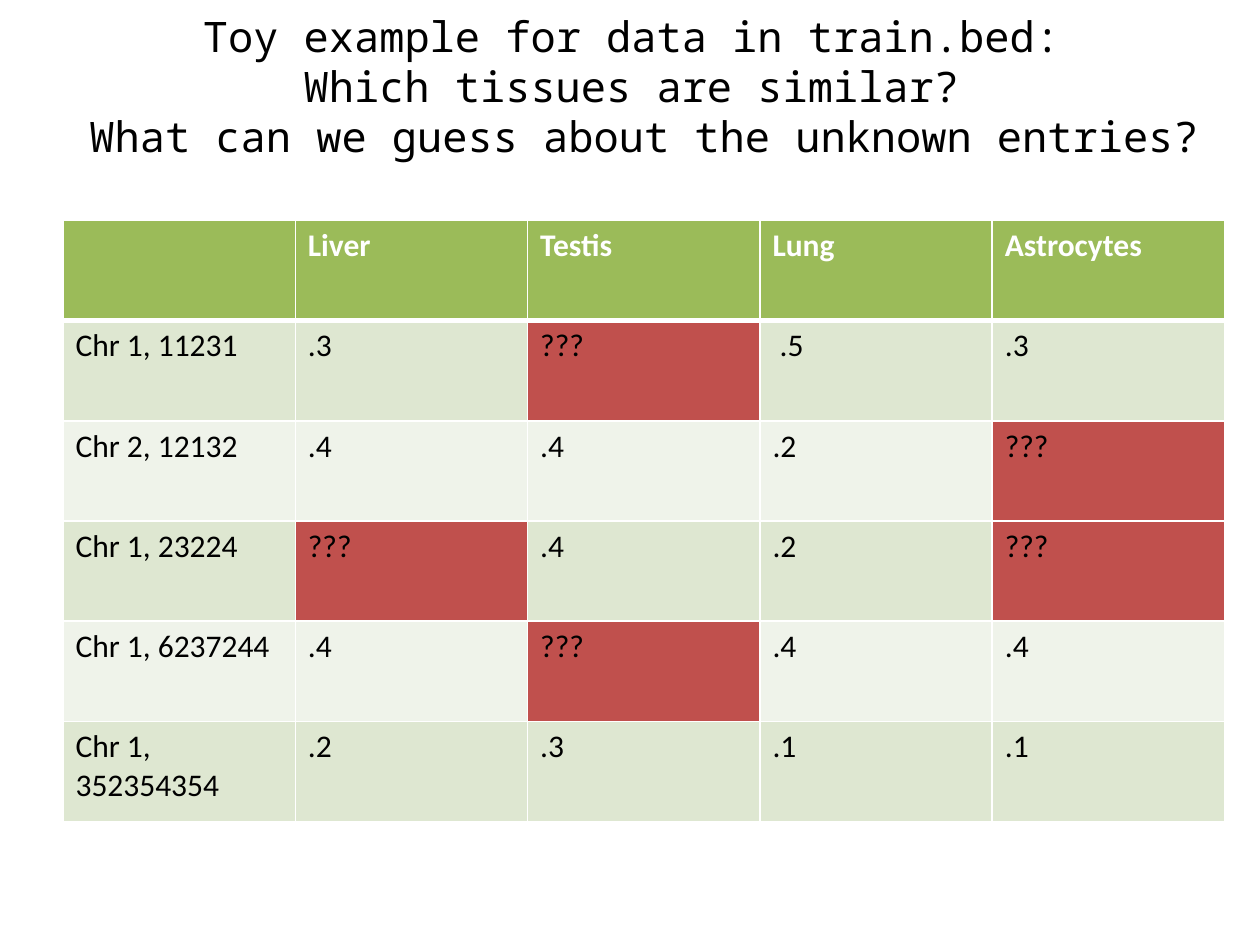
from lxml import etree
from pptx import Presentation
from pptx.dml.color import RGBColor
from pptx.enum import text
from pptx.oxml.ns import qn
from pptx.util import Inches, Pt

WHITE, BLACK = "FFFFFF", "000000"
HEADER, UNKNOWN = "9BBB59", "C0504D"
BANDS = ["DEE7D1", "EFF3EA"]

TITLE = [
    "Toy example for data in train.bed: ",
    "Which tissues are similar? ",
    "What can we guess about the unknown entries?",
]
ROWS = [
    ["", "Liver", "Testis", "Lung", "Astrocytes"],
    ["Chr 1, 11231", ".3", "???", " .5", ".3"],
    ["Chr 2, 12132", ".4", ".4", ".2", "???"],
    ["Chr 1, 23224", "???", ".4", ".2", "???"],
    ["Chr 1, 6237244", ".4", "???", ".4", ".4"],
    ["Chr 1, 352354354", ".2", ".3", ".1", ".1"],
]


def rgb(value):
    return RGBColor.from_string(value)


def format_font(font, color, **values):
    for name, value in values.items():
        setattr(font, name, value)
    font.color.rgb = rgb(color)


def set_borders(cell, widths):
    """Draw white borders; widths maps a side (L, R, T, B) to points."""
    tc_pr = cell._tc.get_or_add_tcPr()
    for i, (side, width) in enumerate(widths.items()):
        ln = etree.Element(qn(f"a:ln{side}"), w=str(Pt(width)))
        fill = etree.SubElement(ln, qn("a:solidFill"))
        etree.SubElement(fill, qn("a:srgbClr"), val=WHITE)
        tc_pr.insert(i, ln)


def add_title(slide, left, top, width, height):
    sp = slide.shapes.title
    sp.left, sp.top, sp.width, sp.height = left, top, width, height
    tf = sp.text_frame
    tf.text = "\n".join(TITLE)
    tf.word_wrap = True
    tf.auto_size = text.MSO_AUTO_SIZE.NONE
    tf.vertical_anchor = text.MSO_ANCHOR.TOP
    for p in tf.paragraphs:
        p.alignment = text.PP_ALIGN.CENTER
        p.space_before = Pt(0)
        format_font(p.font, BLACK, name="Noto Sans Mono", size=Pt(24))


def add_tissue_table(slide, left, top, width, height):
    n_rows, n_cols = len(ROWS), len(ROWS[0])
    table = slide.shapes.add_table(n_rows, n_cols, left, top, width, height).table
    for i, row in enumerate(ROWS):
        is_header = i == 0
        for j, value in enumerate(row):
            cell = table.cell(i, j)
            cell.text = value
            color = HEADER if is_header else BANDS[(i - 1) % 2]
            cell.fill.solid()
            cell.fill.fore_color.rgb = rgb(UNKNOWN if value == "???" else color)
            format_font(cell.text_frame.paragraphs[0].font,
                        WHITE if is_header else BLACK,
                        name="Calibri", size=Pt(18), bold=is_header)
            set_borders(cell, {"L": 1, "R": 1, "T": 3 if i == 1 else 1,
                               "B": 3 if is_header else 1})


def main():
    prs = Presentation()
    prs.slide_width, prs.slide_height = Inches(10), Inches(7.5)
    slide = prs.slides.add_slide(prs.slide_layouts[5])
    left, width = Inches(0.5), Inches(9.22)
    add_title(slide, left, Inches(0.03), width, Inches(1.31))
    add_tissue_table(slide, left, Inches(1.75), width, Inches(4.77))
    prs.save("out.pptx")


if __name__ == "__main__":
    main()
